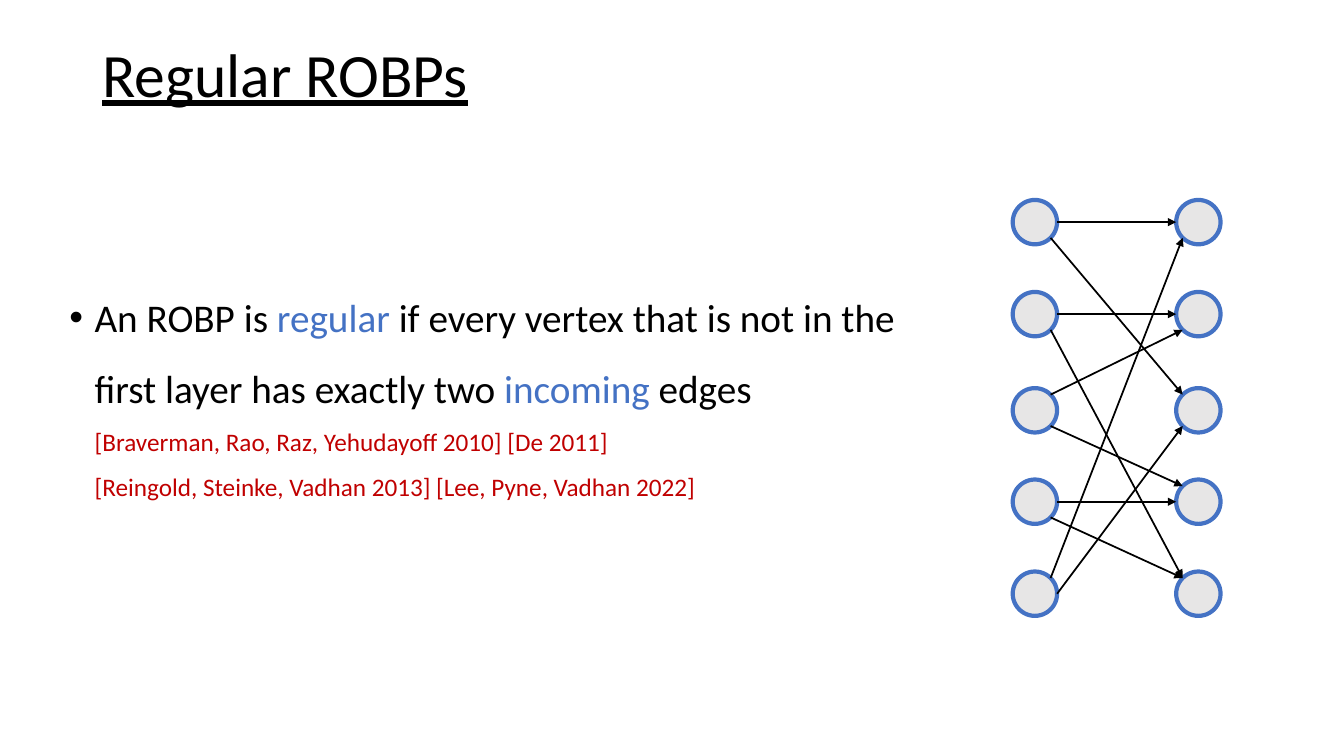
from math import sqrt

from lxml.etree import SubElement
from pptx import Presentation
from pptx.dml.color import RGBColor
from pptx.enum.shapes import MSO_CONNECTOR, MSO_SHAPE
from pptx.enum.text import MSO_ANCHOR
from pptx.oxml.ns import qn
from pptx.util import Pt

THEME = {
    "font": "Calibri",
    "black": RGBColor(0x00, 0x00, 0x00),
    "blue": RGBColor(0x44, 0x72, 0xC4),
    "red": RGBColor(0xC0, 0x00, 0x00),
    "gray": RGBColor(0xE7, 0xE6, 0xE6),
    "title_size": Pt(44),
    "body_size": Pt(28),
    "citation_size": Pt(18),
}

presentation = Presentation()
presentation.slide_width = Pt(960)
presentation.slide_height = Pt(540)
slide = presentation.slides.add_slide(presentation.slide_layouts[6])


def add_text_frame(left, top, width, height, anchor):
    shape = slide.shapes.add_textbox(Pt(left), Pt(top), Pt(width), Pt(height))
    shape.text_frame.word_wrap = True
    shape.text_frame.vertical_anchor = anchor
    return shape.text_frame


title_frame = add_text_frame(66, 2.9, 828, 104.4, MSO_ANCHOR.MIDDLE)
title = title_frame.paragraphs[0]
title.text = "Regular ROBPs"
title.line_spacing = 0.9
title.font.name = THEME["font"]
title.font.size = THEME["title_size"]
title.font.color.rgb = THEME["black"]
title.font.underline = True

body_frame = add_text_frame(42.5, 189.4, 620.6, 180, MSO_ANCHOR.TOP)
definition = body_frame.paragraphs[0]
definition.line_spacing = 1.5
properties = definition._p.get_or_add_pPr()
properties.set("marL", str(Pt(18)))
properties.set("indent", str(-Pt(18)))
SubElement(properties, qn("a:buFont")).set("typeface", "Arial")
SubElement(properties, qn("a:buChar")).set("char", "•")
definition.font.name = THEME["font"]

body_lines = [
    [
        ("An ROBP is ", "black", "body_size"),
        ("regular", "blue", "body_size"),
        (" if every vertex that is not in the first layer has exactly two ", "black", "body_size"),
        ("incoming", "blue", "body_size"),
        (" edges", "black", "body_size"),
    ],
    [("[Braverman, Rao, Raz, Yehudayoff 2010] [De 2011]", "red", "citation_size")],
    [("[Reingold, Steinke, Vadhan 2013] [Lee, Pyne, Vadhan 2022]", "red", "citation_size")],
]
for line_number, line in enumerate(body_lines):
    if line_number:
        definition.add_line_break()
    for text, color, size in line:
        run = definition.add_run()
        run.text = text
        run.font.size = THEME[size]
        run.font.color.rgb = THEME[color]

RADIUS = 15.85
DIAGONAL = RADIUS / sqrt(2)
LAYER_CENTERS = [739.25, 856]
VERTEX_CENTERS = [158.7, 224.4, 293.1, 358.4, 424.1]

for center_x in LAYER_CENTERS:
    for center_y in VERTEX_CENTERS:
        vertex = slide.shapes.add_shape(
            MSO_SHAPE.OVAL, Pt(center_x - RADIUS), Pt(center_y - RADIUS), Pt(2 * RADIUS), Pt(2 * RADIUS)
        )
        vertex.shadow.inherit = False
        vertex.fill.solid()
        vertex.fill.fore_color.rgb = THEME["gray"]
        vertex.line.color.rgb = THEME["blue"]
        vertex.line.width = Pt(3)

SITES = {
    "side": (RADIUS, 0),
    "upper": (DIAGONAL, -DIAGONAL),
    "lower": (DIAGONAL, DIAGONAL),
}
edges = [
    (0, "side", 0, "side"),
    (0, "lower", 2, "upper"),
    (1, "side", 1, "side"),
    (1, "lower", 4, "upper"),
    (2, "upper", 1, "lower"),
    (2, "lower", 3, "upper"),
    (3, "side", 3, "side"),
    (3, "lower", 4, "upper"),
    (4, "side", 2, "lower"),
    (4, "upper", 0, "lower"),
]
for source, source_site, target, target_site in edges:
    source_x, source_y = SITES[source_site]
    target_x, target_y = SITES[target_site]
    edge = slide.shapes.add_connector(
        MSO_CONNECTOR.STRAIGHT,
        Pt(LAYER_CENTERS[0] + source_x),
        Pt(VERTEX_CENTERS[source] + source_y),
        Pt(LAYER_CENTERS[1] - target_x),
        Pt(VERTEX_CENTERS[target] + target_y),
    )
    edge.line.color.rgb = THEME["black"]
    edge.line.width = Pt(1.25)
    SubElement(edge.line._get_or_add_ln(), qn("a:tailEnd")).set("type", "triangle")
    SubElement(edge._element.spPr, qn("a:effectLst"))

presentation.save("out.pptx")
